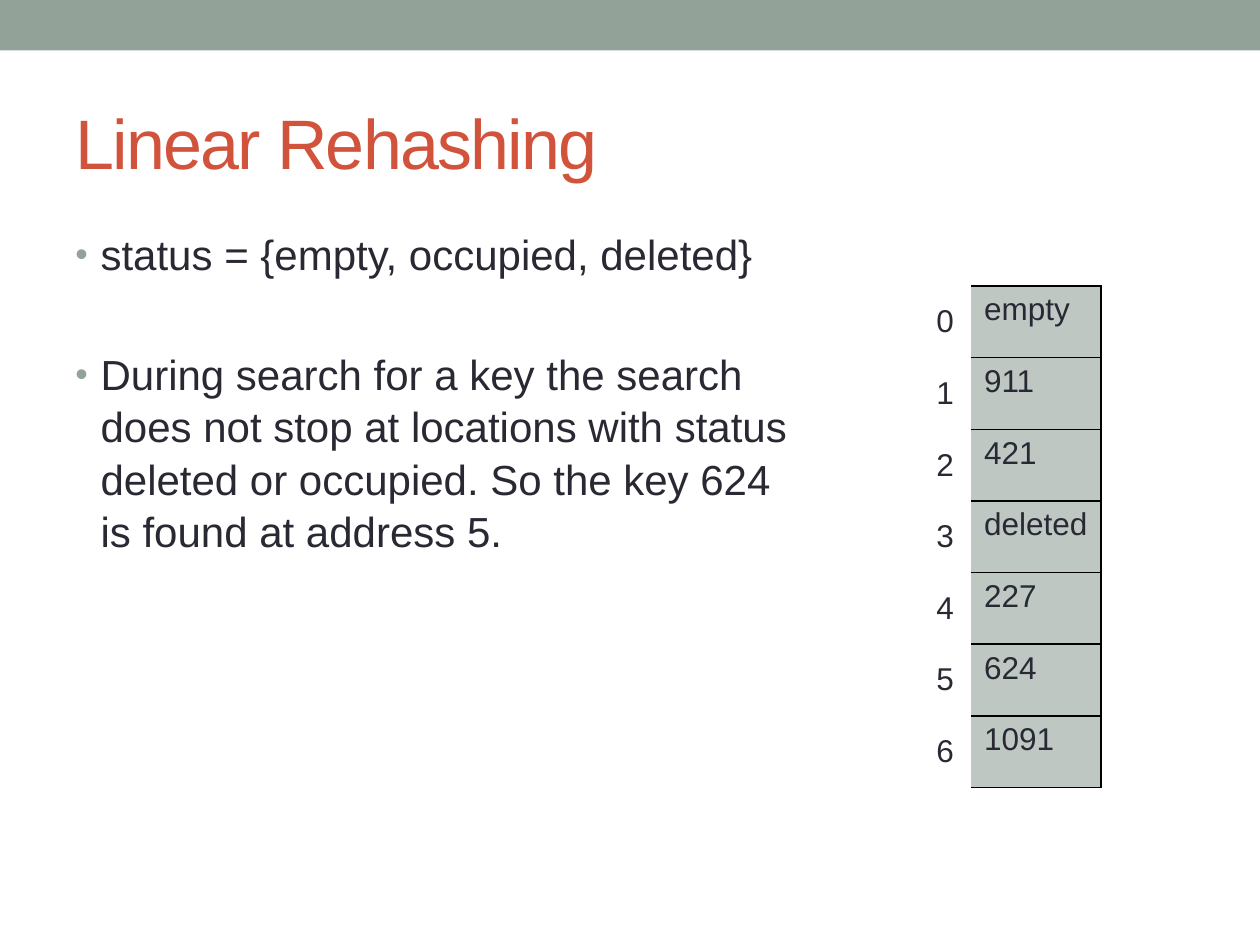
from typing import NamedTuple

from lxml.etree import SubElement as Sub
from pptx import Presentation
from pptx.dml.color import RGBColor as RGB
from pptx.enum.shapes import MSO_SHAPE as Shape
from pptx.enum.text import MSO_ANCHOR as Anchor, PP_ALIGN as Align
from pptx.oxml.ns import qn
from pptx.util import Inches, Pt

SAGE = RGB(0x93, 0xA2, 0x99)
PALE = RGB(0xBE, 0xC7, 0xC2)
RUST = RGB(0xD2, 0x53, 0x3C)
INK = RGB(0x29, 0x29, 0x34)
BLACK = RGB(0, 0, 0)
FONT = "Arial"
PLAIN = "{2D5ABB26-0587-4C30-8999-92F81FD0307C}"


class Box(NamedTuple):
    left: float
    top: float
    width: float
    height: float

    def place(self) -> list:
        return [Inches(side) for side in self]


class Point(NamedTuple):
    text: str
    before: float


TITLE = Box(0.5, 0.58, 9, 1.08)
BODY = Box(0.5, 1.75, 5.95, 5.33)
GRID = Box(7.29, 2.27, 1.45, 3.98)
WIDTHS = (0.42, 1.03)
POINTS = (
    Point("status = {empty, occupied, deleted}", 4.8),
    Point(
        "During search for a key the search does not stop at locations "
        "with status deleted or occupied. So the key 624 is found at address 5.",
        38.6,
    ),
)
SLOTS = ("empty", "911", "421", "deleted", "227", "624", "1091")


def style(para, size: float, color: RGB) -> None:
    para.font.name = FONT
    para.font.size = Pt(size)
    para.font.color.rgb = color


def add_frame(slide, box: Box):
    frame = slide.shapes.add_textbox(*box.place()).text_frame
    frame.word_wrap = True
    return frame


def add_band(slide) -> None:
    band = slide.shapes.add_shape(Shape.RECTANGLE, *Box(0, 0, 10, 0.4).place())
    band.shadow.inherit = False
    band.fill.solid()
    band.fill.fore_color.rgb = SAGE
    band.line.fill.background()


def add_title(slide, text: str) -> None:
    frame = add_frame(slide, TITLE)
    frame.vertical_anchor = Anchor.MIDDLE
    para = frame.paragraphs[0]
    run = para.add_run()
    run.text = text
    style(para, 40, RUST)
    run.font._element.set("spc", "-100")


def add_bullet(para) -> None:
    props = para._p.get_or_add_pPr()
    props.set("marL", str(Inches(0.2)))
    props.set("indent", str(Inches(-0.2)))
    tint = Sub(props, qn("a:buClr"))
    Sub(tint, qn("a:srgbClr"), val=str(SAGE))
    Sub(props, qn("a:buSzPct"), val="85000")
    Sub(props, qn("a:buFont"), typeface=FONT)
    Sub(props, qn("a:buChar"), char="•")


def add_body(slide, points: tuple) -> None:
    frame = add_frame(slide, BODY)
    for index, point in enumerate(points):
        para = frame.add_paragraph() if index else frame.paragraphs[0]
        para.text = point.text
        para.line_spacing = 1.04
        para.space_before = Pt(point.before)
        add_bullet(para)
        style(para, 24, INK)


def add_edges(cell) -> None:
    props = cell._tc.get_or_add_tcPr()
    for side in ("R", "T", "B"):
        edge = Sub(props, qn(f"a:ln{side}"), w=str(Pt(1)))
        fill = Sub(edge, qn("a:solidFill"))
        Sub(fill, qn("a:srgbClr"), val=str(BLACK))


def set_cell(cell, text: str) -> None:
    cell.text = text
    style(cell.text_frame.paragraphs[0], 18, INK)


def add_grid(slide, slots: tuple) -> None:
    table = slide.shapes.add_table(len(slots), len(WIDTHS), *GRID.place()).table
    table.first_row = False
    table.horz_banding = False
    table._tbl.tblPr.find(qn("a:tableStyleId")).text = PLAIN
    for column, width in zip(table.columns, WIDTHS):
        column.width = Inches(width)
    for index, slot in enumerate(slots):
        label, value = table.rows[index].cells
        set_cell(label, str(index))
        label.vertical_anchor = Anchor.MIDDLE
        label.text_frame.paragraphs[0].alignment = Align.CENTER
        label.fill.background()
        set_cell(value, slot)
        add_edges(value)
        value.fill.solid()
        value.fill.fore_color.rgb = PALE


def main() -> None:
    deck = Presentation()
    deck.slide_width, deck.slide_height = Inches(10), Inches(7.5)
    slide = deck.slides.add_slide(deck.slide_layouts[6])
    add_band(slide)
    add_title(slide, "Linear Rehashing")
    add_body(slide, POINTS)
    add_grid(slide, SLOTS)
    deck.save("out.pptx")


if __name__ == "__main__":
    main()
